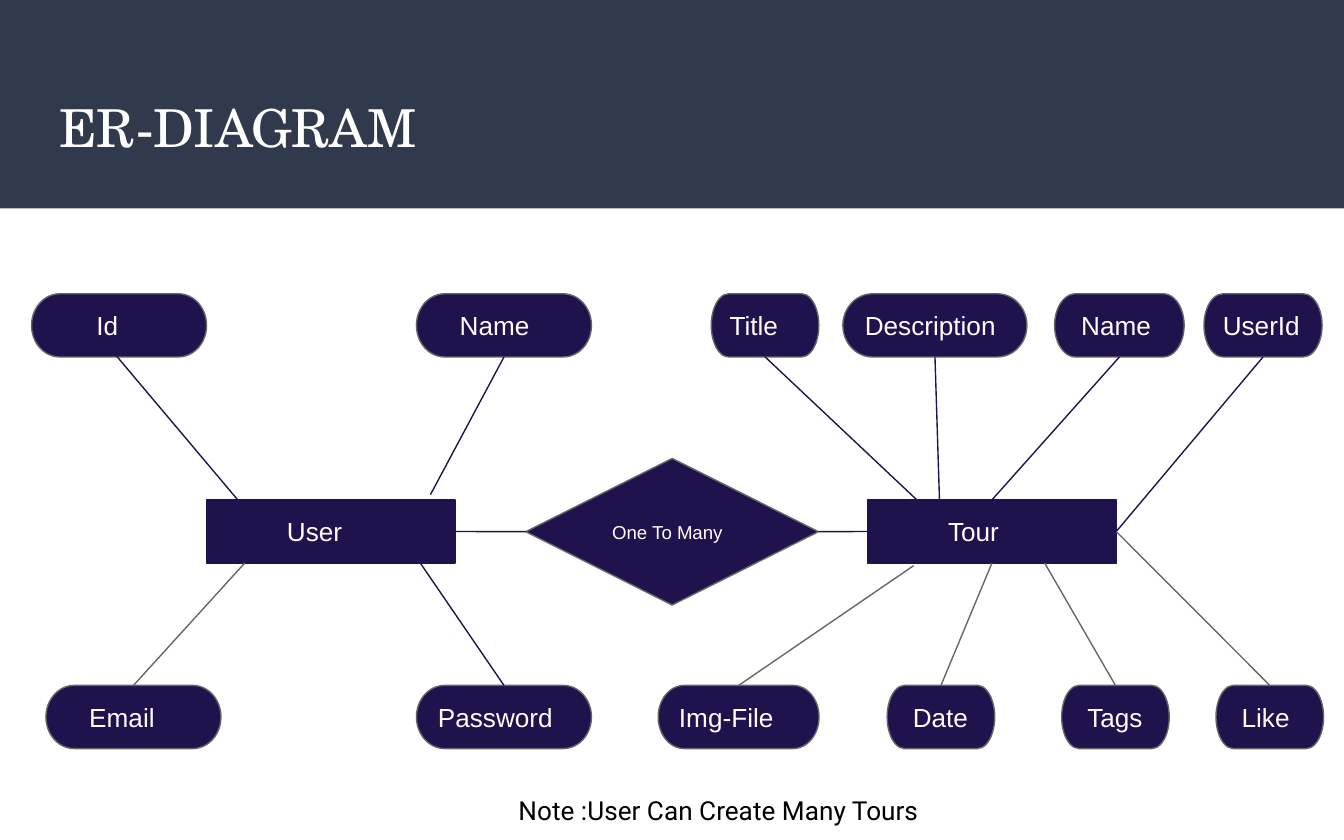
from lxml.etree import SubElement
from pptx import Presentation
from pptx.dml.color import RGBColor
from pptx.enum.shapes import MSO_CONNECTOR, MSO_SHAPE as SHAPE
from pptx.enum.text import MSO_ANCHOR as ANCHOR, MSO_AUTO_SIZE as FIT, PP_ALIGN
from pptx.oxml.ns import qn
from pptx.util import Pt

COLORS = {"band": "31394D", "node": "20124D", "grey": "666666",
          "white": "FFFFFF", "black": "000000"}
TOP, LEFT, BOTTOM, RIGHT = range(4)
NODE_HEIGHT = 33.84
ENTITY_TOP, ENTITY_WIDTH = 267.84, 133.2
UPPER_ROW, LOWER_ROW = 157.4, 367.2


def rgb(name):
    return RGBColor.from_string(COLORS[name])


class Diagram:
    """Holds the style and the page being drawn."""

    def __init__(self, page):
        self.page = page
        self.inset = Pt(7.2)
        self.line_width = Pt(0.75)

    def set_text(self, shape, text, size, font="Arial", color="white",
                 anchor=ANCHOR.MIDDLE):
        frame = shape.text_frame
        frame.word_wrap = True
        frame.auto_size = FIT.NONE
        frame.vertical_anchor = anchor
        frame.margin_left = frame.margin_right = self.inset
        frame.margin_top = frame.margin_bottom = self.inset
        para = frame.paragraphs[0]
        para.text = text
        para.alignment = PP_ALIGN.LEFT
        para.font.name, para.font.size = font, Pt(size)
        para.font.color.rgb = rgb(color)
        return para

    def shape(self, kind, box, fill, line=None):
        shape = self.page.shapes.add_shape(kind, *map(Pt, box))
        shape.shadow.inherit = False
        shape.fill.solid()
        shape.fill.fore_color.rgb = rgb(fill)
        if line:
            shape.line.color.rgb = rgb(line)
            shape.line.width = self.line_width
        else:
            shape.line.fill.background()
        return shape

    def title(self, text):
        title = self.page.shapes.title
        title.left, title.top, title.width, title.height = map(
            Pt, (24.5, 43.9, 671, 54.7))
        self.set_text(title, text, 28, "TeX Gyre Schola", anchor=ANCHOR.TOP)
        band = self.shape(SHAPE.RECTANGLE, (0, 0, 720, 111.6), "band")
        title.element.addprevious(band.element)

    def node(self, kind, text, box, line="grey", size=14, indent=0):
        node = self.shape(kind, box, "node", line)
        para = self.set_text(node, text, size)
        if indent:
            para._p.get_or_add_pPr().set("marL", str(Pt(indent)))
        return node

    def entity(self, text, left):
        box = (left, ENTITY_TOP, ENTITY_WIDTH, NODE_HEIGHT)
        return self.node(SHAPE.RECTANGLE, text, box, "node", indent=36)

    def attribute(self, text, left, top, width, indent):
        box = (left, top, width, NODE_HEIGHT)
        return self.node(SHAPE.FLOWCHART_TERMINATOR, text, box, indent=indent)

    def link(self, start, end, color="node"):
        """Each end is either (shape, site) or a free (x, y) point."""
        link = self.page.shapes.add_connector(MSO_CONNECTOR.STRAIGHT, 0, 0, 0, 0)
        if isinstance(start[0], (int, float)):
            link.begin_x, link.begin_y = map(Pt, start)
        else:
            link.begin_connect(*start)
        if isinstance(end[0], (int, float)):
            link.end_x, link.end_y = map(Pt, end)
        else:
            link.end_connect(*end)
        link.line.color.rgb = rgb(color)
        link.line.width = self.line_width
        SubElement(link._element.spPr, qn("a:effectLst"))

    def note(self, text, box):
        note = self.page.shapes.add_textbox(*map(Pt, box))
        self.set_text(note, text, 14, "Roboto", "black", ANCHOR.TOP)


def main():
    deck = Presentation()
    deck.slide_width, deck.slide_height = Pt(720), Pt(450)
    page = deck.slides.add_slide(deck.slide_layouts[5])
    diagram = Diagram(page)
    diagram.title("ER-DIAGRAM")

    user = diagram.entity("User", 110.6)
    tour = diagram.entity("Tour", 464.8)
    relation = diagram.node(SHAPE.DIAMOND, "One To Many",
                            (281.7, 245.6, 156.8, 78.5), size=10)
    diagram.link((user, RIGHT), (relation, LEFT))
    diagram.link((relation, RIGHT), (tour, LEFT))

    entity_bottom = ENTITY_TOP + NODE_HEIGHT
    # label, left, width, indent, end at the entity, line colour
    upper = [
        ("Id", 16.9, 93.8, 23.3, (127.4, ENTITY_TOP), "node"),
        ("Name", 223.1, 93.8, 11.7, (230.6, 265), "node"),
        ("Title", 381.1, 57.6, 0, (491.2, ENTITY_TOP), "node"),
        ("Description", 451.6, 98.6, 0, (503.4, 270.5), "node"),
        ("Name", 565, 69.4, 3.9, (tour, TOP), "node"),
        ("UserId", 645, 63.3, 0, (tour, RIGHT), "node"),
    ]
    lower = [
        ("Email", 24.6, 93.8, 11.7, (131.1, entity_bottom), "grey"),
        ("Password", 223.1, 93.8, 0, (225.2, entity_bottom), "node"),
        ("Img-File", 352.6, 86.2, 0, (489.5, 303), "grey"),
        ("Date", 475.3, 57.6, 3.9, (tour, BOTTOM), "grey"),
        ("Tags", 568.8, 57.6, 3.9, (559.7, entity_bottom), "grey"),
        ("Like", 651.5, 57.6, 3.9, (tour, RIGHT), "grey"),
    ]
    for row, top, site in ((upper, UPPER_ROW, BOTTOM), (lower, LOWER_ROW, TOP)):
        for label, left, width, indent, end, color in row:
            oval = diagram.attribute(label, left, top, width, indent)
            start = (58.3, 185.8) if label == "Id" else (oval, site)
            diagram.link(start, end, color)

    diagram.note("Note :User Can Create Many Tours", (270.7, 418.3, 249.1, 31.7))
    deck.save("out.pptx")


if __name__ == "__main__":
    main()
